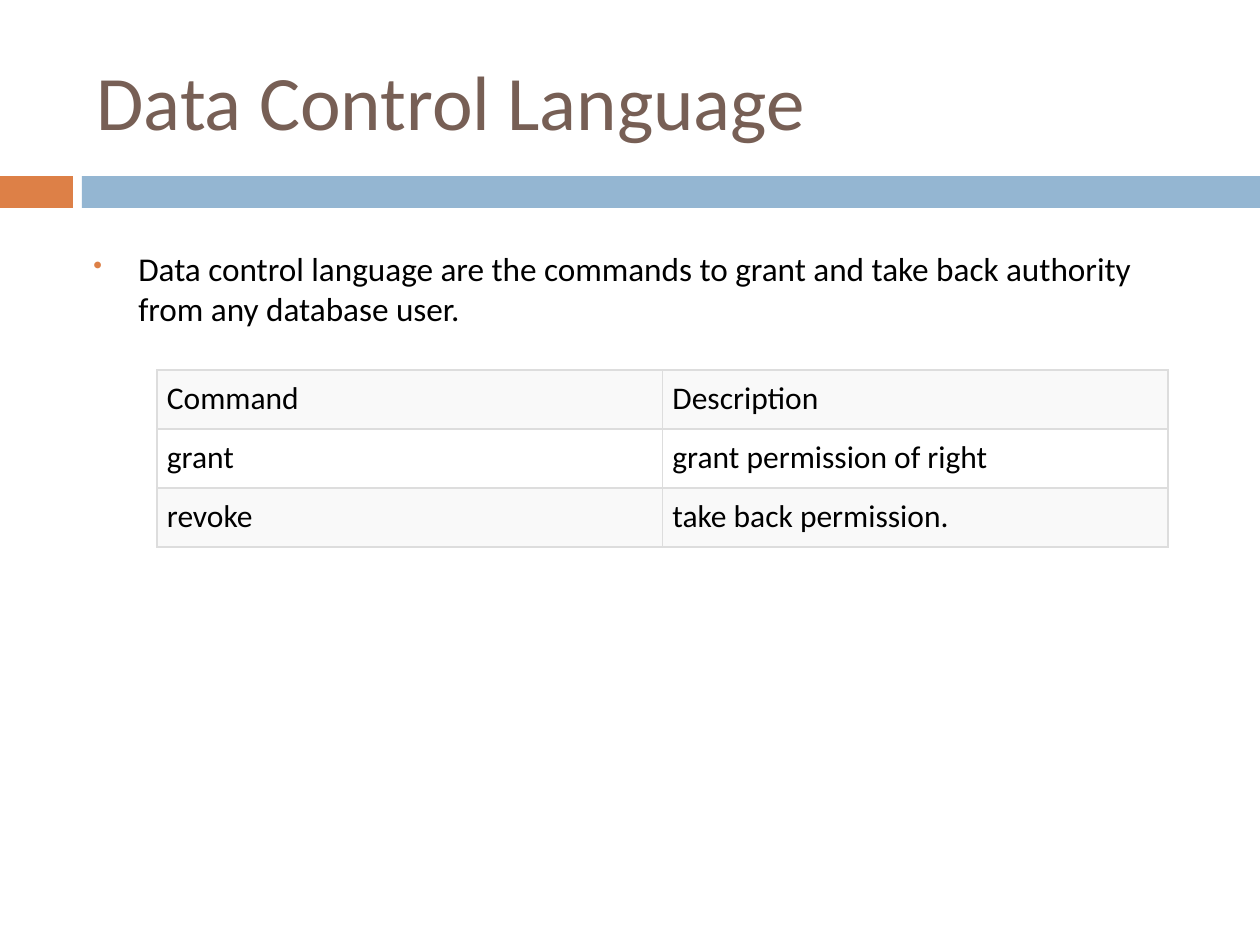
from lxml import etree
from pptx import Presentation
from pptx.dml.color import RGBColor
from pptx.enum.shapes import MSO_SHAPE
from pptx.enum.text import MSO_ANCHOR, MSO_AUTO_SIZE, PP_ALIGN
from pptx.oxml.ns import qn
from pptx.util import Pt

RECT = MSO_SHAPE.RECTANGLE
MIDDLE = MSO_ANCHOR.MIDDLE
TOP = MSO_ANCHOR.TOP
LEFT = PP_ALIGN.LEFT
NO_FIT = MSO_AUTO_SIZE.NONE
FONT = "Calibri"
ORANGE, BLUE, BROWN = "DD8047", "94B6D2", "775F55"
BLACK, BORDER, STRIPE = "000000", "DDDDDD", "F9F9F9"

ROWS = [
    ("Command", "Description"),
    ("grant", "grant permission of right"),
    ("revoke", "take back permission."),
]


def px(n):
    return round(n * 914400 / 126)


def rgb(value):
    return RGBColor.from_string(value)


def add_run(p, text, size, color):
    r = p.add_run()
    r.text = text
    r.font.name = FONT
    r.font.size = Pt(size)
    r.font.color.rgb = rgb(color)


def add_title(s, x, y, w, h, text):
    sp = s.shapes.title
    sp.left, sp.top, sp.width, sp.height = px(x), px(y), px(w), px(h)
    tf = sp.text_frame
    tf.word_wrap = True
    tf.auto_size = NO_FIT
    tf.vertical_anchor = MIDDLE
    p = tf.paragraphs[0]
    p.alignment = LEFT
    add_run(p, text, 44, BROWN)


def add_band(s, x, y, w, h):
    accent, gap = 73, 9
    bar_x = accent + gap
    for left, width, color in ((0, accent, ORANGE), (bar_x, w - bar_x, BLUE)):
        sp = s.shapes.add_shape(RECT, px(x + left), px(y), px(width), px(h))
        sp.shadow.inherit = False
        sp.fill.solid()
        sp.fill.fore_color.rgb = rgb(color)
        sp.line.fill.background()


def add_bullet(p, indent):
    pPr = p._p.get_or_add_pPr()
    pPr.set("marL", str(px(indent)))
    pPr.set("indent", str(-px(indent)))
    color = etree.SubElement(pPr, qn("a:buClr"))
    etree.SubElement(color, qn("a:srgbClr"), val=ORANGE)
    etree.SubElement(pPr, qn("a:buSzPct"), val="60000")
    etree.SubElement(pPr, qn("a:buFont"), typeface="Wingdings 2")
    etree.SubElement(pPr, qn("a:buChar"), char="◻")


def add_body(s, x, y, w, h, text):
    sp = s.shapes.add_textbox(px(x), px(y), px(w), px(h))
    tf = sp.text_frame
    tf.word_wrap = True
    tf.vertical_anchor = TOP
    p = tf.paragraphs[0]
    add_bullet(p, 44)
    add_run(p, text, 19, BLACK)


def set_borders(cell):
    tcPr = cell._tc.get_or_add_tcPr()
    for i, side in enumerate(("lnL", "lnR", "lnT", "lnB")):
        ln = etree.Element(qn(f"a:{side}"), w=str(Pt(0.75)))
        fill = etree.SubElement(ln, qn("a:solidFill"))
        etree.SubElement(fill, qn("a:srgbClr"), val=BORDER)
        tcPr.insert(i, ln)


def add_commands(s, x, y, w, h, rows):
    shape = s.shapes.add_table(len(rows), len(rows[0]), px(x), px(y), px(w), px(h))
    table = shape.table
    table.first_row = False
    table.horz_banding = False
    for i, values in enumerate(rows):
        for j, text in enumerate(values):
            cell = table.cell(i, j)
            cell.margin_left = cell.margin_right = px(10)
            cell.margin_top = cell.margin_bottom = px(10)
            if i % 2 == 0:
                cell.fill.solid()
                cell.fill.fore_color.rgb = rgb(STRIPE)
            else:
                cell.fill.background()
            set_borders(cell)
            add_run(cell.text_frame.paragraphs[0], text, 18, BLACK)


def main():
    prs = Presentation()
    prs.slide_width, prs.slide_height = px(1260), px(945)
    s = prs.slides.add_slide(prs.slide_layouts[5])
    add_band(s, 0, 176, 1260, 32)
    add_title(s, 84, 32, 1124, 136, "Data Control Language")
    add_body(s, 82, 242, 1124, 620,
             "Data control language are the commands to grant and take back "
             "authority from any database user.")
    add_commands(s, 157, 370, 1011, 177, ROWS)
    prs.save("out.pptx")


if __name__ == "__main__":
    main()
